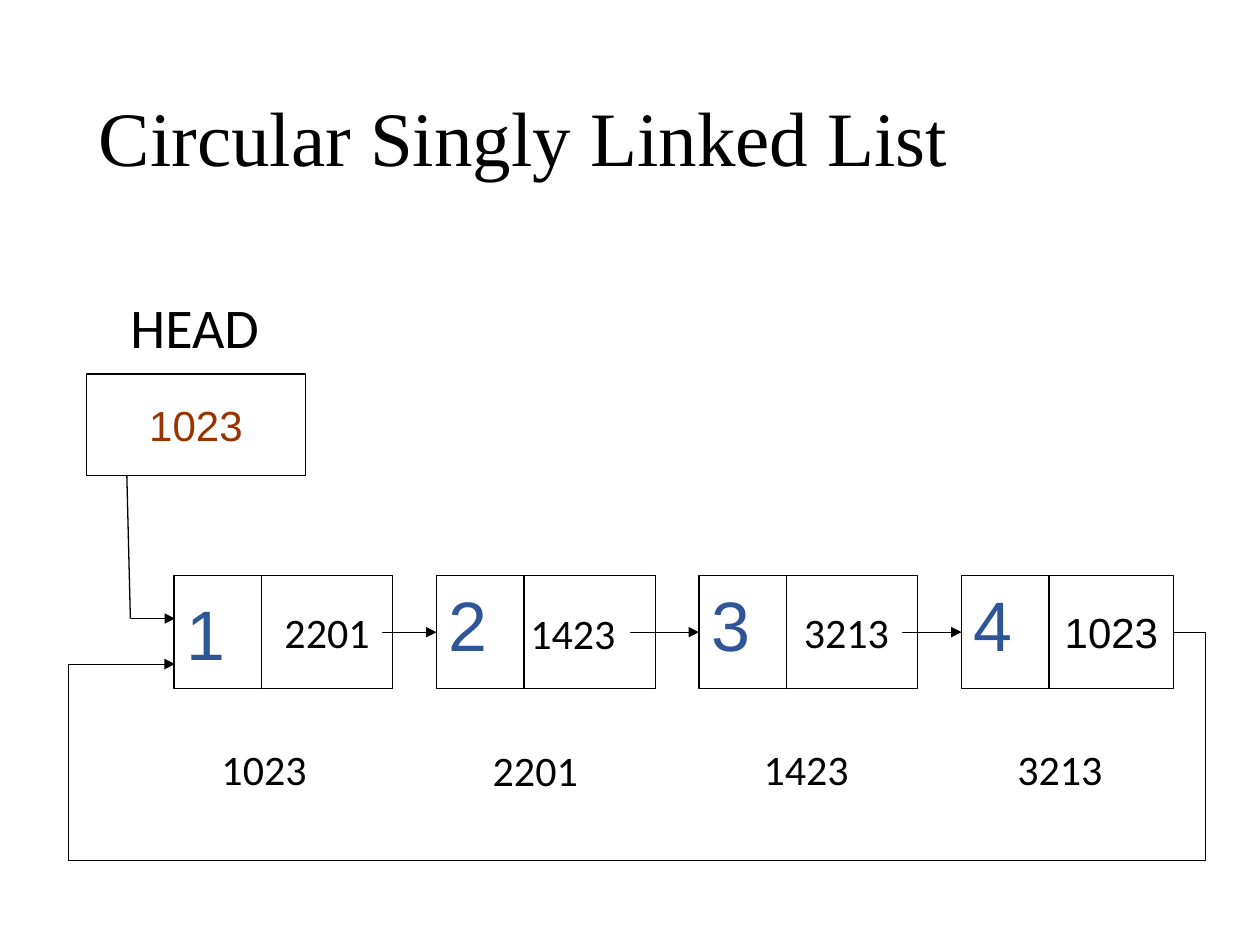
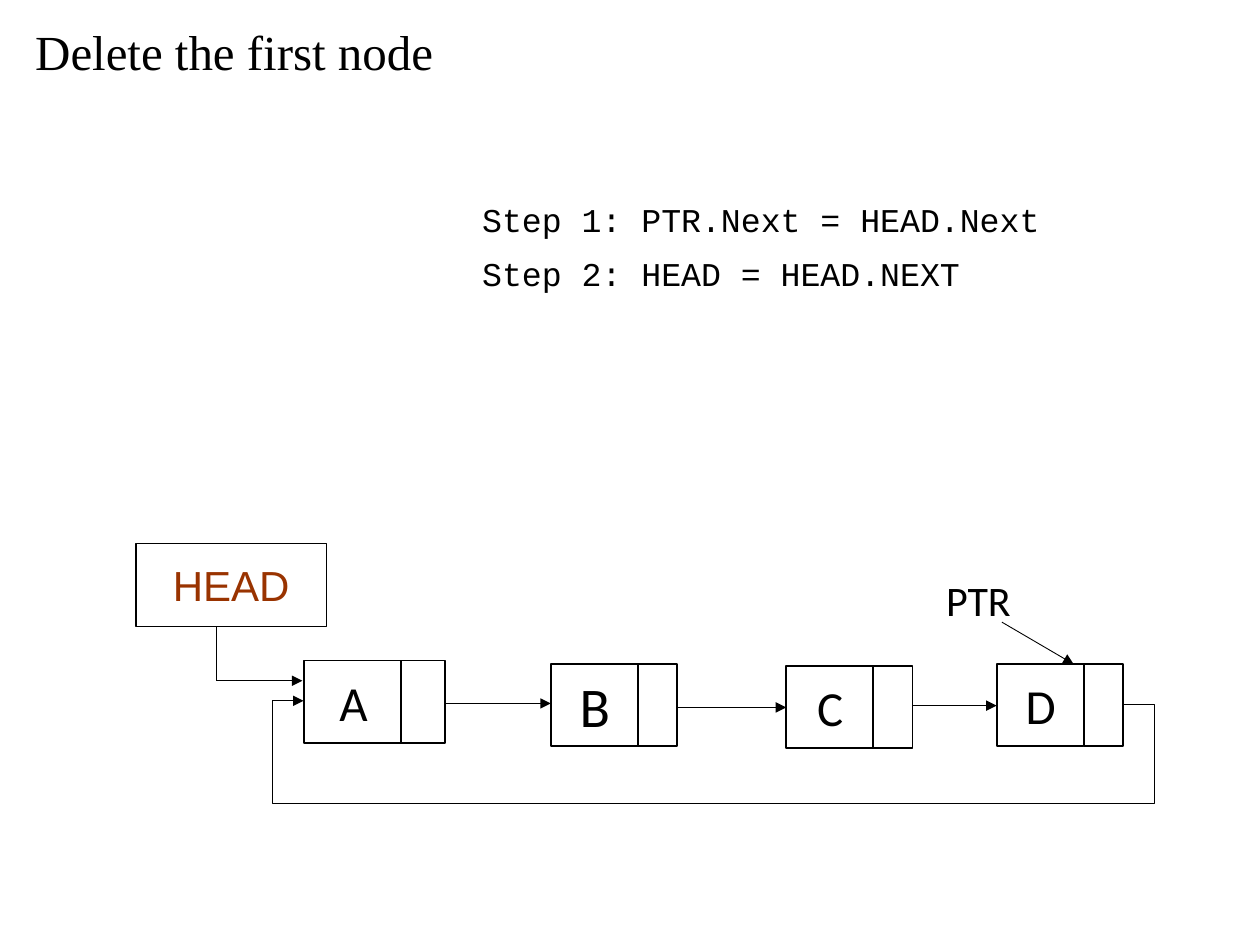
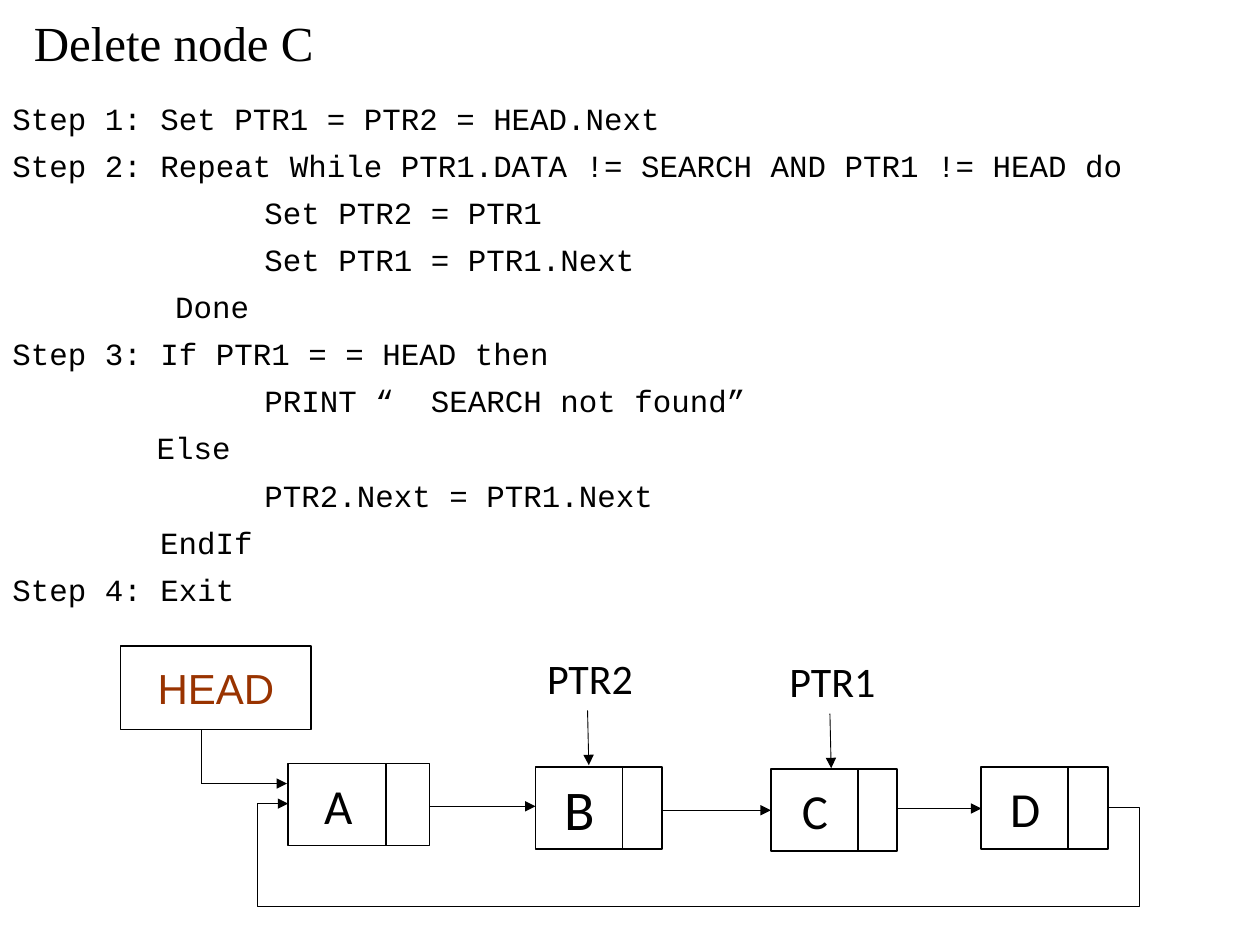
from dataclasses import dataclass
from typing import Any, NamedTuple

from lxml import etree
from pptx import Presentation
from pptx.dml.color import RGBColor
from pptx.enum.shapes import MSO_CONNECTOR as Connector, MSO_SHAPE as Preset
from pptx.enum.text import MSO_ANCHOR as Anchor, MSO_AUTO_SIZE as AutoSize, PP_ALIGN as Align
from pptx.oxml.ns import qn
from pptx.util import Pt


class Style(NamedTuple):
    font: str
    size: float
    color: RGBColor


BLACK = RGBColor(0x00, 0x00, 0x00)
RUST = RGBColor(0x99, 0x33, 0x00)
BLUE = RGBColor(0x2F, 0x55, 0x97)


@dataclass(frozen=True)
class Theme:
    paper: RGBColor = RGBColor(0xFF, 0xFF, 0xFF)
    ink: RGBColor = BLACK
    cover_title: Style = Style("Times New Roman", 44, BLACK)
    title: Style = Style("Times New Roman", 28, BLACK)
    steps: Style = Style("Courier New", 19, BLACK)
    algorithm: Style = Style("Courier New", 17.6, BLACK)
    pointer: Style = Style("Arial", 24, RUST)
    link: Style = Style("Arial", 24, BLACK)
    value: Style = Style("Arial", 40, BLUE)
    label: Style = Style("Calibri", 24, BLACK)
    letter: Style = Style("Calibri", 28, BLACK)
    heading: Style = Style("Calibri", 32, BLACK)
    hairline: float = 0.5
    thin: float = 0.75
    outline: float = 1


THEME = Theme()


class Point(NamedTuple):
    x: float
    y: float


class Frame(NamedTuple):
    left: float
    top: float
    width: float
    height: float


class Line(NamedTuple):
    text: str
    indent: float = 0


@dataclass(frozen=True)
class ChainNode:
    letter: str
    left: float
    top: float
    data_width: float
    link_left: float
    link_width: float
    style: Style = THEME.letter


@dataclass(frozen=True)
class ListNode:
    value: str
    address: str
    address_at: Point
    link: str
    link_at: Point
    anchor: Anchor = Anchor.TOP


CHAIN_HEIGHT = 47
CHAIN = [
    ChainNode("A", 95.75, 67, 57, 55.75, 25),
    ChainNode("B", 237, 69, 50.25, 49.75, 22.5, THEME.heading),
    ChainNode("C", 371.5, 70, 50.25, 49.75, 22.5),
    ChainNode("D", 491.75, 69, 50.25, 49.75, 22.5),
]
CHAIN_ARROWS = [(177, 237, 91.5), (294.5, 371.5, 93.75), (429.75, 491.75, 92.75)]

LIST_LEFT, LIST_TOP, LIST_PITCH = 99.5, 329, 150
DATA_WIDTH, LINK_WIDTH, LAST_LINK_WIDTH, NODE_HEIGHT = 50, 75, 71.25, 64.5
LIST_NODES = [
    ListNode("1", "1023", Point(119.5, 421.25), "2201", Point(155.5, 343.25), Anchor.MIDDLE),
    ListNode("2", "2201", Point(274.5, 422), "1423", Point(296, 343.75)),
    ListNode("3", "1423", Point(429.25, 421.25), "3213", Point(452.25, 343.25)),
    ListNode("4", "3213", Point(574.25, 421.25), "1023", Point(0, 0)),
]
LIST_ARROWS = [(218.25, 249.5), (360, 399.5), (515.5, 549.5)]

DELETE_FIRST = [Line("Step 1: PTR.Next = HEAD.Next"), Line("Step 2: HEAD = HEAD.NEXT")]
DELETE_C = [
    Line("Step 1: Set PTR1 = PTR2 = HEAD.Next"),
    Line("Step 2: Repeat While PTR1.DATA != SEARCH AND PTR1 != HEAD do"),
    Line("Set PTR2 = PTR1", 144),
    Line("Set PTR1 = PTR1.Next", 144),
    Line("Done", 93),
    Line("Step 3: If PTR1 = = HEAD then"),
    Line("PRINT “  SEARCH not found”", 144),
    Line("Else", 82.5),
    Line("PTR2.Next = PTR1.Next", 144),
    Line("EndIf", 84.5),
    Line("Step 4: Exit"),
]


def apply(target: Any, values: dict[str, Any]) -> None:
    for name, value in values.items():
        setattr(target, name, value)


def write(shape: Any, lines: list[Line], style: Style, frame_format: dict[str, Any],
          paragraph_format: dict[str, Any]) -> None:
    text_frame = shape.text_frame
    apply(text_frame, {"word_wrap": True, "vertical_anchor": Anchor.TOP} | frame_format)
    for index, line in enumerate(lines):
        paragraph = text_frame.add_paragraph() if index else text_frame.paragraphs[0]
        apply(paragraph, {"alignment": Align.LEFT} | paragraph_format)
        if line.indent:
            properties = paragraph._p.get_or_add_pPr()
            properties.set("marL", str(Pt(line.indent)))
            properties.set("indent", "0")
        run = paragraph.add_run()
        run.text = line.text
        apply(run.font, {"name": style.font, "size": Pt(style.size)})
        run.font.color.rgb = style.color


def add_text(slide: Any, frame: Frame, lines: list[Line], style: Style,
             frame_format: dict[str, Any] = {}, paragraph_format: dict[str, Any] = {}) -> Any:
    shape = slide.shapes.add_textbox(*map(Pt, frame))
    write(shape, lines, style, frame_format, paragraph_format)
    return shape


def add_title(slide: Any, frame: Frame, text: str, style: Style = THEME.title) -> None:
    add_text(slide, frame, [Line(text)], style,
             {"vertical_anchor": Anchor.MIDDLE}, {"line_spacing": 0.9})


def add_code(slide: Any, frame: Frame, lines: list[Line], style: Style, spacing: float) -> None:
    add_text(slide, frame, lines, style, {},
             {"line_spacing": spacing, "space_before": Pt(10)})


def add_label(slide: Any, at: Point, text: str, style: Style = THEME.label,
              width: float = 63.5, height: float = 36) -> None:
    add_text(slide, Frame(*at, width, height), [Line(text)], style,
             {"word_wrap": False, "auto_size": AutoSize.SHAPE_TO_FIT_TEXT})


def add_pointer_label(slide: Any, frame: Frame, line: Line) -> None:
    shape = add_text(slide, frame, [line], THEME.label,
                     {"auto_size": AutoSize.SHAPE_TO_FIT_TEXT})
    shape.fill.solid()
    shape.fill.fore_color.rgb = THEME.paper


def add_cell(slide: Any, frame: Frame, weight: float, text: str = "",
             style: Style = THEME.label, anchor: Anchor = Anchor.MIDDLE,
             align: Align = Align.CENTER) -> None:
    shape = slide.shapes.add_shape(Preset.RECTANGLE, *map(Pt, frame))
    shape.shadow.inherit = False
    shape.fill.solid()
    shape.fill.fore_color.rgb = THEME.paper
    shape.line.color.rgb = THEME.ink
    shape.line.width = Pt(weight)
    if text:
        write(shape, [Line(text)], style, {"vertical_anchor": anchor}, {"alignment": align})


def add_line(slide: Any, start: Point, end: Point, weight: float = THEME.thin,
             arrow: bool = True, kind: Connector = Connector.STRAIGHT) -> Any:
    connector = slide.shapes.add_connector(kind, *map(Pt, (*start, *end)))
    connector.line.color.rgb = THEME.ink
    connector.line.width = Pt(weight)
    if arrow:
        tail = etree.SubElement(connector.line._get_or_add_ln(), qn("a:tailEnd"))
        tail.set("type", "triangle")
    etree.SubElement(connector._element.spPr, qn("a:effectLst"))
    return connector


def add_loop(slide: Any, start: Point, end: Point, right: float, bottom: float,
             left: float) -> None:
    connector = add_line(slide, start, end, THEME.hairline, kind=Connector.ELBOW)
    geometry = connector._element.spPr.find(qn("a:prstGeom"))
    geometry.set("prst", "bentConnector5")
    guides = geometry.find(qn("a:avLst"))
    if guides is None:
        guides = etree.SubElement(geometry, qn("a:avLst"))
    width, height = end.x - start.x, end.y - start.y
    ratios = ((right - start.x) / width, (bottom - start.y) / height, (left - start.x) / width)
    for number, ratio in enumerate(ratios, 1):
        guide = etree.SubElement(guides, qn("a:gd"))
        guide.set("name", f"adj{number}")
        guide.set("fmla", f"val {round(ratio * 100000)}")


def add_chain(slide: Any, origin: Point) -> None:
    def at(x: float, y: float) -> Point:
        return Point(origin.x + x, origin.y + y)

    for start, end, y in CHAIN_ARROWS:
        add_line(slide, at(start, y), at(end, y))
    add_cell(slide, Frame(*origin, 108.75, 47.5), THEME.thin, "HEAD", THEME.pointer)
    add_line(slide, at(46, 47.5), at(46, 78.5), arrow=False)
    add_line(slide, at(46.5, 78.5), at(95, 78.5))
    add_loop(slide, at(564.25, 92), at(95.75, 90),
             origin.x + 582, origin.y + 148.25, origin.x + 77.75)
    for node in CHAIN:
        add_cell(slide, Frame(*at(node.left, node.top), node.data_width, CHAIN_HEIGHT),
                 THEME.outline, node.letter, node.style)
        add_cell(slide, Frame(*at(node.left + node.link_left, node.top), node.link_width,
                              CHAIN_HEIGHT), THEME.outline)


def build_circular_list(slide: Any) -> None:
    add_title(slide, Frame(49.5, 28.75, 621, 104.5), "Circular Singly Linked List",
              THEME.cover_title)
    last = len(LIST_NODES) - 1
    for index, node in enumerate(LIST_NODES):
        left = LIST_LEFT + index * LIST_PITCH
        add_cell(slide, Frame(left, LIST_TOP, DATA_WIDTH, NODE_HEIGHT), THEME.thin,
                 node.value, THEME.value, node.anchor, Align.LEFT)
        is_last = index == last
        link_width = LAST_LINK_WIDTH if is_last else LINK_WIDTH
        add_cell(slide, Frame(left + DATA_WIDTH, LIST_TOP, link_width, NODE_HEIGHT),
                 THEME.thin, node.link if is_last else "", THEME.link)
        add_label(slide, node.address_at, node.address)
        if not is_last:
            add_label(slide, node.link_at, node.link)
    for start, end in LIST_ARROWS:
        add_line(slide, Point(start, 361.25), Point(end, 361.25))
    add_label(slide, Point(67.5, 163.5), "HEAD", THEME.heading, 88.5, 46)
    add_cell(slide, Frame(49.5, 213.75, 125, 58), THEME.thin, "1023", THEME.pointer)
    add_line(slide, Point(72.5, 272), Point(74.5, 353.5), arrow=False)
    add_line(slide, Point(75, 353.5), Point(100, 353.5))
    add_loop(slide, Point(670.5, 361.25), Point(100, 379.5), 688.5, 491.5, 39)


def build_delete_first(slide: Any) -> None:
    add_title(slide, Frame(13, -21, 727, 104.5), "Delete the first node")
    add_code(slide, Frame(268.5, 113, 373.5, 63.5), DELETE_FIRST, THEME.steps, 0.9)
    add_chain(slide, Point(77.75, 310.5))
    add_pointer_label(slide, Frame(533.5, 324.75, 76.5, 36), Line("PTR"))
    add_line(slide, Point(572.5, 355.5), Point(613.5, 379.5), THEME.hairline)


def build_delete_c(slide: Any) -> None:
    add_title(slide, Frame(12.25, -26, 727, 104.5), "Delete node C")
    add_chain(slide, Point(69, 369.25))
    for text, left, top in (("PTR1", 427.75, 371), ("PTR2", 289.25, 369.25)):
        add_pointer_label(slide, Frame(left, top, 93, 36), Line(text, 16.25))
        add_line(slide, Point(left + 46.5, top + 36.75), Point(left + 47.25, top + 68),
                 THEME.hairline)
    add_code(slide, Frame(0, 57.5, 698.5, 299.5), DELETE_C, THEME.algorithm, 0.8)


def main() -> None:
    presentation = Presentation()
    apply(presentation, {"slide_width": Pt(720), "slide_height": Pt(540)})
    blank = presentation.slide_layouts[6]
    for build in (build_circular_list, build_delete_first, build_delete_c):
        build(presentation.slides.add_slide(blank))
    presentation.save("out.pptx")


if __name__ == "__main__":
    main()
